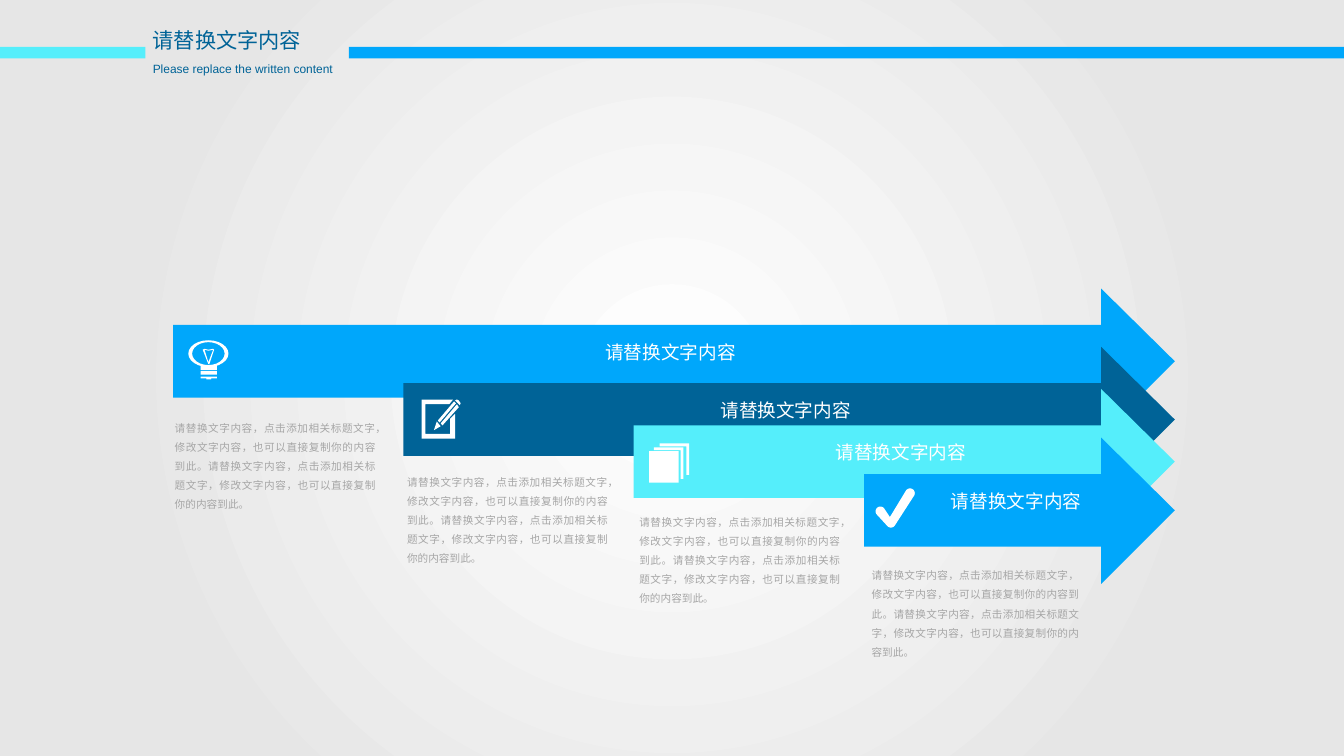
from dataclasses import dataclass
from math import cos, radians, sin

from lxml.etree import SubElement
from pptx import Presentation
from pptx.dml.color import RGBColor
from pptx.enum.shapes import MSO_SHAPE
from pptx.enum.text import MSO_ANCHOR, MSO_AUTO_SIZE, PP_ALIGN
from pptx.oxml.ns import qn
from pptx.util import Inches, Pt


@dataclass(frozen=True)
class Theme:
    font: str = "Arial"
    blue: str = "00A7FB"
    navy: str = "006397"
    cyan: str = "55EEFB"
    white: str = "FFFFFF"
    edge: str = "E6E6E6"
    grey: str = "A6A6A6"
    title_size: float = 16
    subtitle_size: float = 9
    label_size: float = 14
    body_size: float = 8


SLIDE_WIDTH, SLIDE_HEIGHT = 14.06, 7.91
LABEL = "请替换文字内容"
SENTENCE = "请替换文字内容，点击添加相关标题文字，修改文字内容，也可以直接复制你的内容到此。"
HEAD_LEFT, HEAD_TIP = 11.52, 12.29


def arc(center, radii, start, end, steps=24):
    """Return points along an ellipse, angles in degrees, clockwise on the slide."""
    angles = [radians(start + (end - start) * i / steps) for i in range(steps + 1)]
    return [(center[0] + radii[0] * cos(a), center[1] + radii[1] * sin(a)) for a in angles]


class SlideBuilder:
    def __init__(self, slide, theme):
        self.slide = slide
        self.theme = theme

    def background(self):
        fill = self.slide.background.fill
        fill.gradient()
        stops = zip(fill.gradient_stops, (0, 0.73), (self.theme.white, self.theme.edge))
        for stop, position, color in stops:
            stop.position = position
            stop.color.rgb = RGBColor.from_string(color)
        gradient = self.slide.element.find(".//" + qn("a:gradFill"))
        gradient.remove(gradient.find(qn("a:lin")))
        circle = SubElement(gradient, qn("a:path"), {"path": "circle"})
        SubElement(circle, qn("a:fillToRect"), l="50000", t="50000", r="50000", b="50000")

    def paint(self, shape, color):
        shape.shadow.inherit = False
        shape.fill.solid()
        shape.fill.fore_color.rgb = RGBColor.from_string(color)
        shape.line.fill.background()
        return shape

    def rectangle(self, left, top, width, height, color):
        box = [Inches(value) for value in (left, top, width, height)]
        return self.paint(self.slide.shapes.add_shape(MSO_SHAPE.RECTANGLE, *box), color)

    def outline(self, color, *contours):
        """Draw one closed shape; every contour after the first cuts a hole."""
        contours = [[(Inches(x), Inches(y)) for x, y in points] for points in contours]
        builder = self.slide.shapes.build_freeform(*contours[0][0])
        builder.add_line_segments(contours[0][1:])
        for points in contours[1:]:
            builder.move_to(*points[0])
            builder.add_line_segments(points[1:])
        return self.paint(builder.convert_to_shape(), color)

    def set_text(self, shape, text, size, color, align=PP_ALIGN.LEFT):
        shape.text_frame.text = text
        paragraph = shape.text_frame.paragraphs[0]
        paragraph.alignment = align
        font = paragraph.runs[0].font
        font.name = self.theme.font
        font.size = Pt(size)
        font.color.rgb = RGBColor.from_string(color)
        return paragraph

    def text_box(self, left, top, width, height, text, size, color,
                 align=PP_ALIGN.LEFT, wrap=False, spacing=1.0):
        box = [Inches(value) for value in (left, top, width, height)]
        shape = self.slide.shapes.add_textbox(*box)
        shape.text_frame.word_wrap = wrap
        shape.text_frame.auto_size = MSO_AUTO_SIZE.SHAPE_TO_FIT_TEXT
        self.set_text(shape, text, size, color, align).line_spacing = spacing

    def arrow(self, left, top, color):
        upper, lower = top + 0.38, top + 1.14
        arrow = self.outline(color, [
            (left, upper), (HEAD_LEFT, upper), (HEAD_LEFT, top), (HEAD_TIP, top + 0.76),
            (HEAD_LEFT, top + 1.53), (HEAD_LEFT, lower), (left, lower)])
        frame = arrow.text_frame
        frame.margin_left, frame.margin_top = Inches(0.59), Inches(0.41)
        frame.margin_right, frame.margin_bottom = Inches(0.66), Inches(0.62)
        frame.vertical_anchor = MSO_ANCHOR.MIDDLE
        frame.word_wrap = True
        self.set_text(arrow, LABEL, self.theme.label_size, self.theme.white, PP_ALIGN.CENTER)

    def group(self, *shapes):
        self.slide.shapes.add_group_shape(shapes)

    def check_icon(self):
        radii = (0.05, 0.05)
        self.outline(self.theme.white,
                     arc((9.21, 5.35), radii, 142, 322)
                     + [(9.31, 5.41)]
                     + arc((9.52, 5.16), radii, -146, 34)
                     + arc((9.32, 5.47), radii, 34, 142))

    def pages_icon(self):
        white = self.theme.white
        sheets = []
        for left, top in ((6.84, 4.68), (6.9, 4.64)):
            right, bottom = left + 0.31, top + 0.33
            sheets.append(self.outline(white, [
                (left, top), (right, top), (right, bottom), (right - 0.03, bottom),
                (right - 0.03, top + 0.03), (left, top + 0.03)]))
        self.group(*sheets, self.rectangle(6.79, 4.72, 0.31, 0.33, white))

    def bulb_icon(self):
        white, center = self.theme.white, (2.18, 3.7)
        self.group(
            self.outline(white, arc(center, (0.21, 0.14), 0, 360),
                         arc(center, (0.17, 0.12), 0, 360)),
            self.rectangle(2.1, 3.82, 0.17, 0.05, white),
            self.rectangle(2.1, 3.88, 0.17, 0.04, white),
            self.outline(white, [(2.1, 3.94), (2.27, 3.94), (2.27, 3.96), (2.21, 3.96),
                                 (2.21, 3.97), (2.16, 3.97), (2.16, 3.96), (2.1, 3.96)]),
            self.outline(white, [(2.12, 3.66), (2.14, 3.65), (2.18, 3.66), (2.23, 3.65),
                                 (2.24, 3.66), (2.19, 3.81), (2.18, 3.81)],
                         [(2.14, 3.66), (2.18, 3.67), (2.23, 3.66), (2.18, 3.79)]))

    def pencil_icon(self):
        parts = (
            [(4.61, 4.46), (4.57, 4.41), (4.54, 4.5)],
            [(4.75, 4.2), (4.58, 4.4), (4.6, 4.42), (4.77, 4.22)],
            [(4.61, 4.43), (4.63, 4.45), (4.8, 4.26), (4.78, 4.23)],
            [(4.76, 4.19), (4.78, 4.18), (4.8, 4.19), (4.82, 4.22), (4.81, 4.24)],
            [(4.71, 4.54), (4.45, 4.54), (4.45, 4.23), (4.7, 4.23), (4.74, 4.18),
             (4.41, 4.18), (4.41, 4.59), (4.76, 4.59), (4.76, 4.33), (4.71, 4.38)])
        self.group(*[self.outline(self.theme.white, points) for points in parts])


def main():
    presentation = Presentation()
    presentation.slide_width = Inches(SLIDE_WIDTH)
    presentation.slide_height = Inches(SLIDE_HEIGHT)
    theme = Theme()
    builder = SlideBuilder(presentation.slides.add_slide(presentation.slide_layouts[6]), theme)
    builder.background()

    # Arrow top, arrow colour, description top and description width
    steps = [
        (3.02, theme.blue, 4.3, 2.3),
        (3.63, theme.navy, 4.86, 2.3),
        (4.07, theme.cyan, 5.28, 2.3),
        (4.58, theme.blue, 5.84, 2.37),
    ]
    for index, (arrow_top, color, text_top, text_width) in enumerate(steps):
        builder.text_box(1.73 + 2.43 * index, text_top, text_width, 1.12, SENTENCE * 2,
                         theme.body_size, theme.grey, PP_ALIGN.JUSTIFY, True, 1.5)
        builder.arrow(1.81 + 2.41 * index, arrow_top, color)

    builder.check_icon()
    builder.pages_icon()
    builder.bulb_icon()
    builder.pencil_icon()

    builder.rectangle(3.65, 0.49, SLIDE_WIDTH - 3.65, 0.12, theme.blue)
    builder.rectangle(0, 0.49, 1.52, 0.12, theme.cyan)
    builder.text_box(1.5, 0.59, 2.1, 0.25, "Please replace the written content",
                     theme.subtitle_size, theme.navy)
    builder.text_box(1.5, 0.24, 1.77, 0.37, LABEL, theme.title_size, theme.navy)
    presentation.save("out.pptx")


if __name__ == "__main__":
    main()
